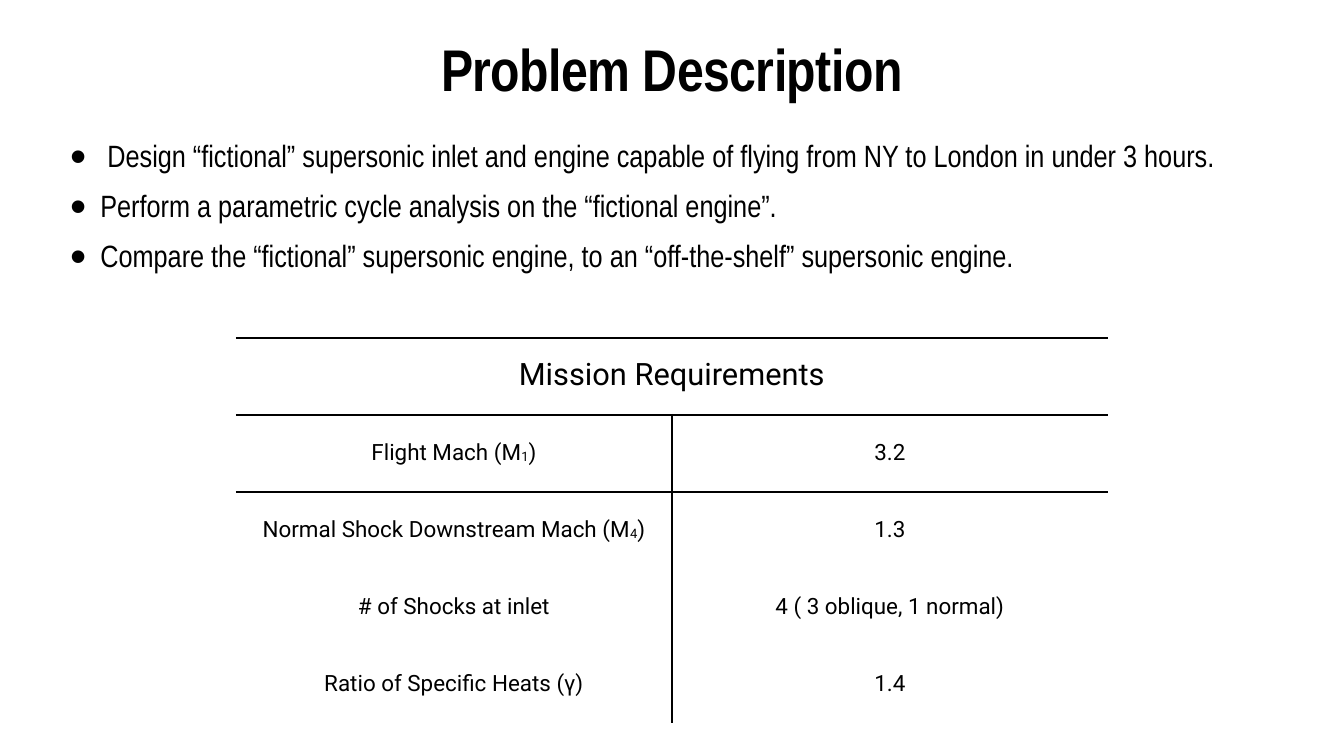
from dataclasses import dataclass

from lxml import etree
from pptx import Presentation
from pptx import util as u
from pptx.dml.color import RGBColor
from pptx.enum import text
from pptx.oxml import ns

BLACK = RGBColor(0, 0, 0)
HEAD_FONT = "Arial Narrow"
GRID_FONT = "Roboto"
PAD = u.Cm(0.16)
SIDES = ("left", "right", "top", "bottom")
PLAIN_STYLE = "{2D5ABB26-0587-4C30-8999-92F81FD0307C}"


@dataclass
class Box:
    left: float
    top: float
    width: float
    height: float

    def lengths(self) -> list:
        return [u.Cm(v) for v in (self.left, self.top, self.width, self.height)]


@dataclass
class Need:
    """One mission requirement; sub is the index of its Mach symbol."""
    name: str
    value: str
    sub: str = ""


TITLE = Box(3.38, 2.16, 60.96, 4.8)
BODY = Box(3.38, 6.96, 60.96, 23.57)
GRID = Box(11.89, 17.02, 43.94, 19.4)

GOALS = (
    " Design “fictional” supersonic inlet and engine capable of flying from NY to London in under 3 hours.",
    "Perform a parametric cycle analysis on the “fictional engine”.",
    "Compare the “fictional” supersonic engine, to an “off-the-shelf” supersonic engine.",
)
NEEDS = (
    Need("Flight Mach (M", "3.2", "1"),
    Need("Normal Shock Downstream Mach (M", "1.3", "4"),
    Need("# of Shocks at inlet", "4 ( 3 oblique, 1 normal)"),
    Need("Ratio of Specific Heats (γ)", "1.4"),
)


def assign(item, values: dict) -> None:
    for key, value in values.items():
        setattr(item, key, value)


def add_run(para, words: str, font: str, size: float, bold: bool = False):
    run = para.add_run()
    run.text = words
    assign(run.font, {"name": font, "size": u.Pt(size), "bold": bold})
    run.font.color.rgb = BLACK
    return run


def set_frame(frame) -> None:
    assign(frame, {f"margin_{side}": PAD for side in SIDES})
    assign(frame, {"word_wrap": True, "auto_size": text.MSO_AUTO_SIZE.NONE,
                   "vertical_anchor": text.MSO_ANCHOR.TOP})


def add_title(slide) -> None:
    shape = slide.shapes.title
    assign(shape, dict(zip(("left", "top", "width", "height"), TITLE.lengths())))
    set_frame(shape.text_frame)
    para = shape.text_frame.paragraphs[0]
    assign(para, {"alignment": text.PP_ALIGN.CENTER, "line_spacing": 0.8})
    run = add_run(para, "Problem Description", HEAD_FONT, 84, True)
    run.font._element.set("spc", "-80")


def add_goals(slide) -> None:
    frame = slide.shapes.add_textbox(*BODY.lengths()).text_frame
    set_frame(frame)
    for i, goal in enumerate(GOALS):
        para = frame.add_paragraph() if i else frame.paragraphs[0]
        assign(para, {"line_spacing": 0.9, "space_before": u.Pt(24)})
        add_run(para, goal, HEAD_FONT, 44)
        # Hanging bullet
        props = para._p.get_or_add_pPr()
        props.set("marL", str(u.Cm(1.52)))
        props.set("indent", str(-u.Cm(1.52)))
        for tag, key, value in (("buSzPct", "val", "150000"),
                                ("buFont", "typeface", "Arial"),
                                ("buChar", "char", "•")):
            etree.SubElement(props, ns.qn(f"a:{tag}")).set(key, value)


def set_cell(cell, edges: str):
    """Format a cell, rule the given edges (of L, R, T, B), return its paragraph."""
    assign(cell, {f"margin_{side}": PAD for side in SIDES})
    cell.vertical_anchor = text.MSO_ANCHOR.MIDDLE
    cell.fill.background()
    props = cell._tc.get_or_add_tcPr()
    for i, edge in enumerate(edges):
        line = etree.Element(ns.qn(f"a:ln{edge}"), w=str(u.Pt(3)))
        fill = etree.SubElement(line, ns.qn("a:solidFill"))
        etree.SubElement(fill, ns.qn("a:srgbClr"), val=str(BLACK))
        props.insert(i, line)
    para = cell.text_frame.paragraphs[0]
    assign(para, {"alignment": text.PP_ALIGN.CENTER, "line_spacing": 0.9})
    return para


def add_grid(slide) -> None:
    frame = slide.shapes.add_table(len(NEEDS) + 1, 2, *GRID.lengths())
    table = frame.table
    assign(table, {"first_row": False, "horz_banding": False})
    table._tbl.tblPr.find(ns.qn("a:tableStyleId")).text = PLAIN_STYLE

    # Heading across both columns
    head, rest = table.cell(0, 0), table.cell(0, 1)
    head.merge(rest)
    add_run(set_cell(head, "TB"), "Mission Requirements", GRID_FONT, 44)
    set_cell(rest, "TB")

    # Requirement rows
    for row, need in enumerate(NEEDS, 1):
        top = "T" if row == 1 else ""
        para = set_cell(table.cell(row, 0), "R" + top)
        add_run(para, need.name, GRID_FONT, 32)
        if need.sub:
            low = add_run(para, need.sub, GRID_FONT, 32)
            low.font._element.set("baseline", "-6000")
            add_run(para, ")", GRID_FONT, 32)
        para = set_cell(table.cell(row, 1), "L" + top)
        add_run(para, need.value, GRID_FONT, 32)


def main() -> None:
    deck = Presentation()
    assign(deck, {"slide_width": u.Cm(67.73), "slide_height": u.Cm(38.1)})
    slide = deck.slides.add_slide(deck.slide_layouts[5])
    add_title(slide)
    add_goals(slide)
    add_grid(slide)
    deck.save("out.pptx")


if __name__ == "__main__":
    main()
